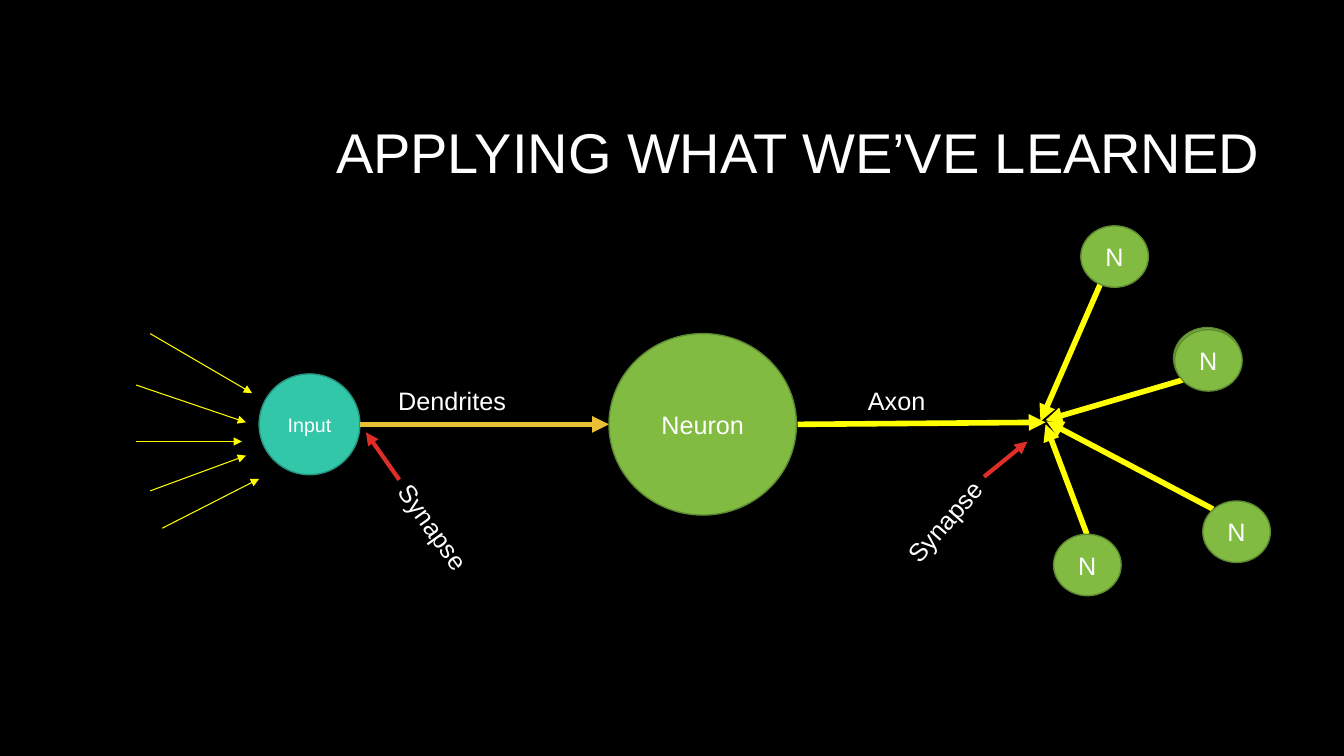
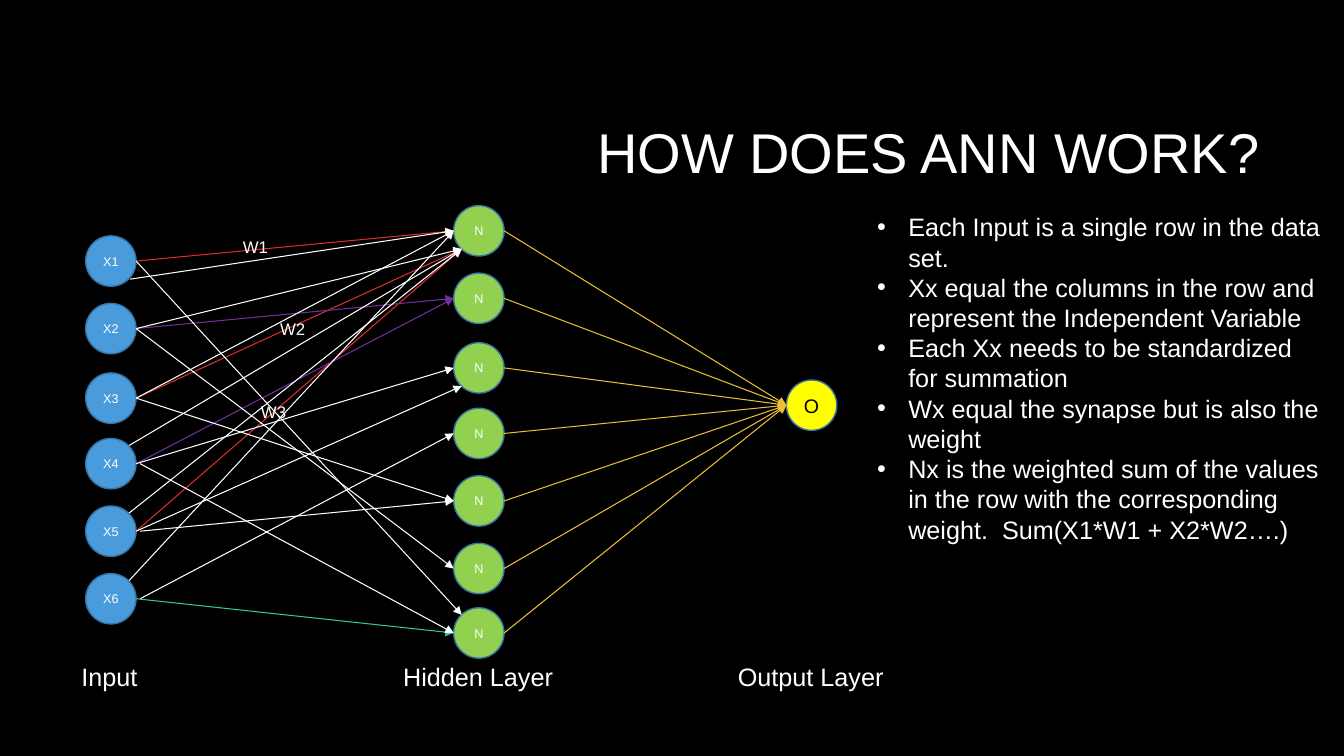
import pptx
import pptx.dml.color
import pptx.enum.shapes
import pptx.enum.text
import pptx.oxml.ns
import pptx.util
from lxml import etree

Inches = pptx.util.Inches
Pt = pptx.util.Pt
RGBColor = pptx.dml.color.RGBColor
Shape = pptx.enum.shapes.MSO_SHAPE
Align = pptx.enum.text.PP_ALIGN
Anchor = pptx.enum.text.MSO_ANCHOR
qn = pptx.oxml.ns.qn

FONT = "Arial"
BLACK = RGBColor(0x00, 0x00, 0x00)
WHITE = RGBColor(0xFF, 0xFF, 0xFF)
YELLOW = RGBColor(0xFF, 0xFF, 0x00)
GOLD = RGBColor(0xE9, 0xBF, 0x35)
RED = RGBColor(0xDF, 0x2E, 0x28)
PURPLE = RGBColor(0x70, 0x30, 0xA0)
TEAL = RGBColor(0x32, 0xC7, 0xA9)
TEAL_EDGE = RGBColor(0x25, 0x93, 0x7D)
GREEN = RGBColor(0x81, 0xBB, 0x42)
GREEN_EDGE = RGBColor(0x5F, 0x8A, 0x31)
LIME = RGBColor(0x92, 0xD0, 0x50)
BLUE = RGBColor(0x4A, 0x9B, 0xDC)
BLUE_EDGE = RGBColor(0x37, 0x73, 0xA3)

NODE_SIZE = 0.5
ROW_TOPS = [0, 0.67, 1.36, 2.01, 2.68, 3.35, 3.99]
INPUT_DROP = 0.3
HIDDEN_LEFT = 3.65
OUTPUT_LEFT, OUTPUT_TOP = 6.95, 1.73
PORTS = {
    "right": (0.5, 0.25), "beside": (0.54, 0.25),
    "upper right": (0.43, 0.07), "lower right": (0.44, 0.43),
    "left": (0, 0.25), "upper left": (0.08, 0.07), "lower left": (0.08, 0.43),
}
LINKS = [
    (1, "right", 1, "left", RED),
    (3, "right", 1, "lower left", RED),
    (5, "right", 1, "lower left", RED),
    (2, "right", 2, "left", PURPLE),
    (4, "right", 2, "left", PURPLE),
    (6, "right", 7, "left", TEAL),
    (1, "lower right", 1, "left", WHITE),
    (2, "right", 1, "lower left", WHITE),
    (3, "right", 1, "left", WHITE),
    (4, "upper right", 1, "lower left", WHITE),
    (5, "upper right", 1, "lower left", WHITE),
    (6, "upper right", 1, "left", WHITE),
    (1, "right", 7, "upper left", WHITE),
    (2, "right", 6, "left", WHITE),
    (3, "right", 5, "left", WHITE),
    (4, "right", 3, "left", WHITE),
    (5, "right", 3, "lower left", WHITE),
    (6, "beside", 4, "left", WHITE),
    (4, "beside", 7, "left", WHITE),
    (5, "beside", 5, "left", WHITE),
]
NOTES = [
    "Each Input is a single row in the data set.",
    "Xx equal the columns in the row and represent the Independent Variable",
    "Each Xx needs to be standardized for summation",
    "Wx equal the synapse but is also the weight",
    "Nx is the weighted sum of the values in the row with the corresponding "
    "weight.  Sum(X1*W1 + X2*W2….)",
]


def add_span(para, text, size, color=WHITE):
    """Add one formatted run to a paragraph."""
    span = para.add_run()
    span.text = text
    span.font.name = FONT
    span.font.size = Pt(size)
    span.font.color.rgb = color


def add_label(page, left, top, width, height, text, size=18, rotation=0):
    """Add a one-line text box, optionally rotated."""
    box = page.shapes.add_textbox(
        Inches(left), Inches(top), Inches(width), Inches(height))
    box.rotation = rotation
    box.text_frame.word_wrap = False
    add_span(box.text_frame.paragraphs[0], text, size)
    return box


def add_node(page, left, top, width, height, text, fill, edge, size,
             color=WHITE, kind=Shape.FLOWCHART_CONNECTOR):
    """Add a round node with centred text."""
    node = page.shapes.add_shape(
        kind, Inches(left), Inches(top), Inches(width), Inches(height))
    node.shadow.inherit = False
    node.fill.solid()
    node.fill.fore_color.rgb = fill
    node.line.color.rgb = edge
    node.line.width = Pt(1)
    frame = node.text_frame
    frame.word_wrap = False
    frame.vertical_anchor = Anchor.MIDDLE
    para = frame.paragraphs[0]
    para.alignment = Align.CENTER
    add_span(para, text, size, color)


def add_arrow(page, left, top, start, end, color, weight=0.75):
    """Add a straight arrow between two points relative to left and top."""
    arrow = page.shapes.add_connector(
        pptx.enum.shapes.MSO_CONNECTOR.STRAIGHT,
        Inches(left + start[0]), Inches(top + start[1]),
        Inches(left + end[0]), Inches(top + end[1]))
    arrow.line.color.rgb = color
    arrow.line.width = Pt(weight)
    etree.SubElement(arrow.line._get_or_add_ln(), qn("a:tailEnd"), type="triangle")
    etree.SubElement(arrow._element.spPr, qn("a:effectLst"))


def add_page(deck, title):
    """Add a black slide with its right-aligned title."""
    page = deck.slides.add_slide(deck.slide_layouts[6])
    page.background.fill.solid()
    page.background.fill.fore_color.rgb = BLACK
    box = add_label(page, 3.17, 0.84, 9.42, 1.41, title, 40)
    box.text_frame.word_wrap = True
    box.text_frame.vertical_anchor = Anchor.MIDDLE
    para = box.text_frame.paragraphs[0]
    para.alignment = Align.RIGHT
    para.line_spacing = 0.9
    return page


def draw_dendrites(page, left, top):
    """Draw the incoming signals, the input and its dendrite."""
    add_node(page, left + 1.22, top + 0.4, 1, 1, "Input", TEAL, TEAL_EDGE, 14,
             kind=Shape.OVAL)
    signals = [
        ((0.14, 0), (1.15, 0.59)), ((0, 0.51), (1.09, 0.88)),
        ((0, 1.07), (1.05, 1.07)), ((0.14, 1.56), (1.09, 1.21)),
        ((0.26, 1.93), (1.22, 1.44)),
    ]
    for start, end in signals:
        add_arrow(page, left, top, start, end, YELLOW)
    add_arrow(page, left, top, (2.22, 0.9), (4.69, 0.9), GOLD, 4)
    add_label(page, left + 2.5, top + 0.46, 1.28, 0.4, "Dendrites")
    add_label(page, left + 2.36, top + 1.72, 1.18, 0.4, "Synapse", rotation=54.3)
    add_arrow(page, left, top, (2.61, 1.45), (2.28, 0.98), RED, 3)


def draw_axon(page, left, top):
    """Draw the neuron, its axon and the neighbouring neurons."""
    add_node(page, left, top + 1.07, 1.86, 1.8, "Neuron", GREEN, GREEN_EDGE, 18)
    links = [
        ((1.87, 1.97), (4.33, 1.95)), ((4.89, 0.54), (4.28, 1.94)),
        ((5.69, 1.53), (4.33, 1.93)), ((5.99, 2.81), (4.34, 1.94)),
        ((4.74, 3.06), (4.33, 1.97)),
    ]
    for start, end in links:
        add_arrow(page, left, top, start, end, YELLOW, 4)
    neighbours = [(5.6, 1.01), (5.89, 2.73), (4.41, 3.06), (4.68, 0), (5.61, 1.03)]
    for across, down in neighbours:
        add_node(page, left + across, top + down, 0.67, 0.61, "N",
                 GREEN, GREEN_EDGE, 18)
    add_label(page, left + 2.47, top + 1.53, 0.78, 0.4, "Axon")
    add_label(page, left + 2.74, top + 2.73, 1.18, 0.4, "Synapse", rotation=311.2)
    add_arrow(page, left, top, (3.72, 2.49), (4.15, 2.14), RED, 3)


def port(node_left, node_top, side):
    """Return the point where a link meets a network node."""
    across, down = PORTS[side]
    return node_left + across, node_top + down


def draw_network(page, left, top):
    """Draw the three layers, their links, weights and captions."""
    input_tops = [row + INPUT_DROP for row in ROW_TOPS[:6]]
    for number, row in enumerate(input_tops, 1):
        add_node(page, left, top + row, NODE_SIZE, NODE_SIZE, f"X{number}",
                 BLUE, BLUE_EDGE, 9)
    for row in ROW_TOPS:
        add_node(page, left + HIDDEN_LEFT, top + row, NODE_SIZE, NODE_SIZE, "N",
                 LIME, BLUE_EDGE, 9)
    add_node(page, left + OUTPUT_LEFT, top + OUTPUT_TOP, NODE_SIZE, NODE_SIZE, "O",
             YELLOW, BLUE_EDGE, 14, BLACK)
    for source, exit_side, target, entry_side, color in LINKS:
        add_arrow(page, left, top,
                  port(0, input_tops[source - 1], exit_side),
                  port(HIDDEN_LEFT, ROW_TOPS[target - 1], entry_side), color)
    for row in ROW_TOPS:
        add_arrow(page, left, top, port(HIDDEN_LEFT, row, "right"),
                  port(OUTPUT_LEFT, OUTPUT_TOP, "left"), GOLD)
    for text, across, down in [("W1", 1.46, 0.26), ("W2", 1.83, 1.07),
                               ("W3", 1.64, 1.9)]:
        add_label(page, left + across, top + down, 0.45, 0.3, text, 12)
    for text, across, width in [("Input", -0.14, 0.76), ("Hidden Layer", 3.05, 1.7),
                                ("Output Layer", 6.37, 1.66)]:
        add_label(page, left + across, top + 4.47, width, 0.4, text)


def draw_notes(page, left, top, width, height):
    """Write the bulleted notes."""
    box = page.shapes.add_textbox(
        Inches(left), Inches(top), Inches(width), Inches(height))
    frame = box.text_frame
    frame.word_wrap = True
    for index, note in enumerate(NOTES):
        para = frame.add_paragraph() if index else frame.paragraphs[0]
        properties = para._p.get_or_add_pPr()
        properties.set("marL", str(Inches(0.31)))
        properties.set("indent", str(Inches(-0.31)))
        etree.SubElement(properties, qn("a:buFont"), typeface=FONT)
        etree.SubElement(properties, qn("a:buChar"), char="•")
        add_span(para, note, 18)


def main():
    """Build and save the deck."""
    deck = pptx.Presentation()
    deck.slide_width = Inches(13.33)
    deck.slide_height = Inches(7.5)
    page = add_page(deck, "APPLYING WHAT WE’VE LEARNED")
    draw_dendrites(page, 1.35, 3.31)
    draw_axon(page, 6.04, 2.24)
    page = add_page(deck, "HOW DOES ANN WORK?")
    draw_network(page, 0.85, 2.04)
    draw_notes(page, 8.6, 2.05, 4.62, 3.74)
    deck.save("out.pptx")


if __name__ == "__main__":
    main()
